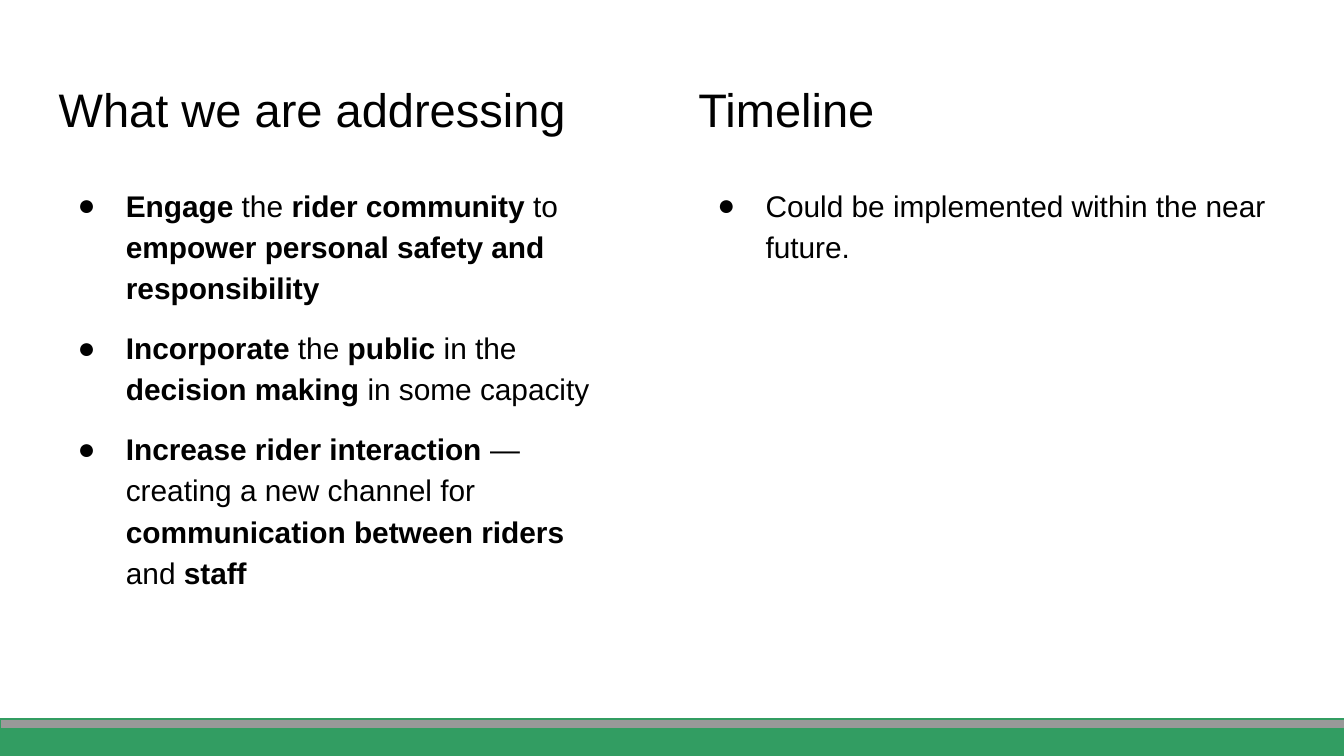
"""Build a two-column slide with bulleted goals and a timeline."""
from dataclasses import dataclass

from lxml.etree import SubElement
from pptx import Presentation
from pptx.dml.color import RGBColor
from pptx.enum.shapes import MSO_SHAPE
from pptx.enum.text import MSO_ANCHOR, MSO_AUTO_SIZE, PP_ALIGN
from pptx.oxml.ns import qn
from pptx.util import Cm, Pt

BLACK = RGBColor(0x00, 0x00, 0x00)
GREEN = RGBColor(0x32, 0x9D, 0x62)
GREY = RGBColor(0x99, 0x99, 0x99)
FONT = "Arial"
INSET = Cm(0.25)
HEAD_TOP, HEAD_HIGH = 1.24, 1.6
BODY_TOP = 3.2


@dataclass
class Column:
    left: float
    head: str
    head_wide: float
    body_wide: float
    body_high: float
    items: list[str]


@dataclass
class Band:
    top: float
    high: float
    fill: RGBColor


COLUMNS = [
    Column(0.86, "What we are addressing", 12.47, 11.1, 5.61, [
        "*Engage* the *rider community* to *empower personal safety and responsibility*",
        "*Incorporate* the* public* in the *decision making* in some capacity",
        "*Increase rider interaction* — creating a new channel for "
        "*communication between riders *and* staff*",
    ]),
    Column(12.95, "Timeline", 11.25, 11.25, 1.6,
           ["Could be implemented within the near future."]),
]
BANDS = [Band(13.77, 0.53, GREEN), Band(13.59, 0.18, GREY)]


def place(shape, left: float, top: float, wide: float, high: float) -> None:
    shape.left, shape.top = Cm(left), Cm(top)
    shape.width, shape.height = Cm(wide), Cm(high)


def add_dot(para) -> None:
    props = para._p.get_or_add_pPr()
    props.set("marL", str(Cm(1.27)))
    props.set("indent", str(-Cm(0.91)))
    tint = SubElement(props, qn("a:buClr"))
    SubElement(tint, qn("a:srgbClr"), val=str(BLACK))
    SubElement(props, qn("a:buFont"), typeface=FONT)
    SubElement(props, qn("a:buChar"), char="●")


def write(frame, lines: list[str], *, size: float, anchor: MSO_ANCHOR,
          dots: bool = False, lead: float = 1.0, gap: float = 0) -> None:
    frame.word_wrap = True
    frame.auto_size = MSO_AUTO_SIZE.NONE
    frame.vertical_anchor = anchor
    frame.margin_left = frame.margin_right = INSET
    frame.margin_top = frame.margin_bottom = INSET
    for row, line in enumerate(lines):
        para = frame.add_paragraph() if row else frame.paragraphs[0]
        if dots:
            add_dot(para)
        para.alignment = PP_ALIGN.LEFT
        para.line_spacing = lead
        para.space_before = Pt(gap if row else 0)
        for part, text in enumerate(line.split("*")):
            if text:
                run = para.add_run()
                run.text = text
                run.font.name, run.font.size = FONT, Pt(size)
                run.font.bold = part % 2 == 1
                run.font.color.rgb = BLACK


def draw_column(slide, col: Column, head) -> None:
    place(head, col.left, HEAD_TOP, col.head_wide, HEAD_HIGH)
    write(head.text_frame, [col.head], size=25.2, anchor=MSO_ANCHOR.BOTTOM)
    body = slide.shapes.add_textbox(
        Cm(col.left), Cm(BODY_TOP), Cm(col.body_wide), Cm(col.body_high))
    write(body.text_frame, col.items, size=16, anchor=MSO_ANCHOR.TOP,
          dots=True, lead=1.15, gap=10)


def draw_band(slide, band: Band) -> None:
    bar = slide.shapes.add_shape(
        MSO_SHAPE.RECTANGLE, 0, Cm(band.top), Cm(26.8), Cm(band.high))
    bar.shadow.inherit = False
    bar.fill.solid()
    bar.fill.fore_color.rgb = band.fill
    bar.line.color.rgb = GREEN
    bar.line.width = Pt(0.75)


def main() -> None:
    deck = Presentation()
    deck.slide_width, deck.slide_height = Cm(25.4), Cm(14.29)
    slide = deck.slides.add_slide(deck.slide_layouts[5])
    first, second = COLUMNS
    draw_column(slide, first, slide.shapes.title)
    for band in BANDS:
        draw_band(slide, band)
    draw_column(slide, second, slide.shapes.add_textbox(0, 0, 0, 0))
    deck.save("out.pptx")


if __name__ == "__main__":
    main()
